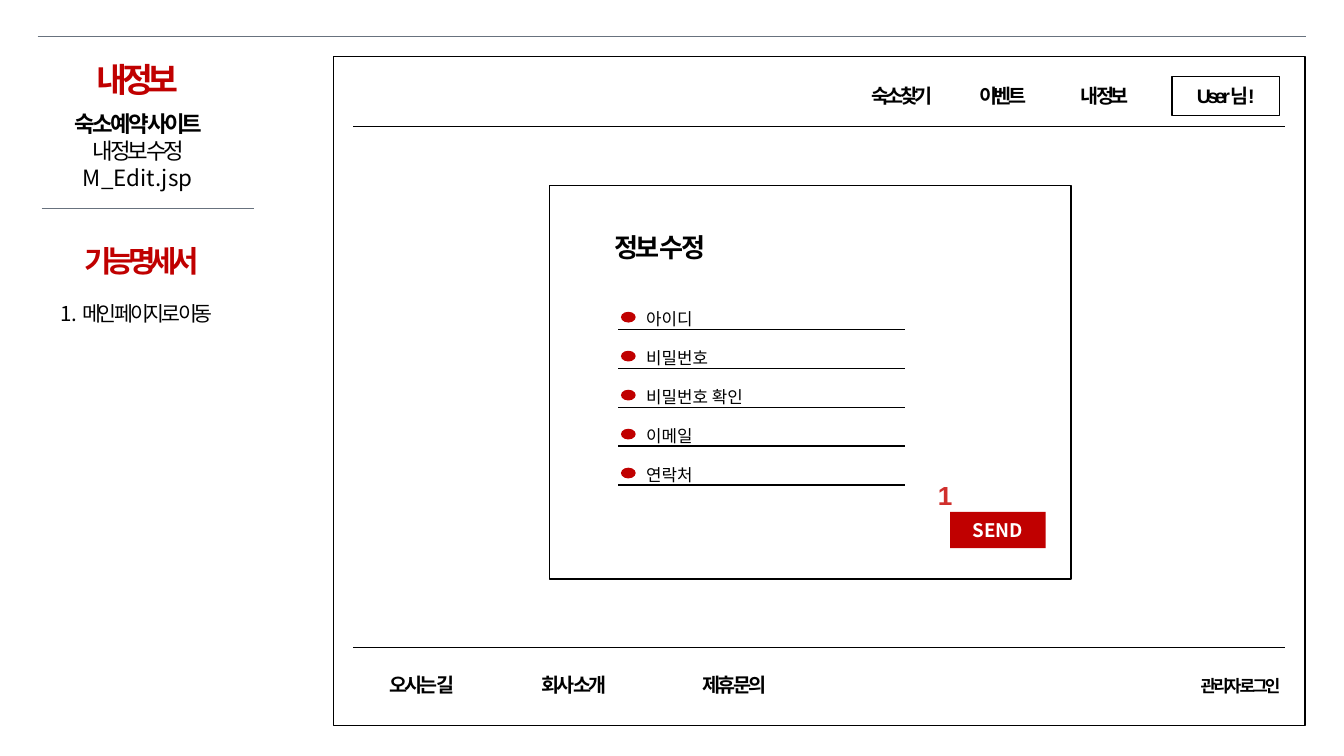
from dataclasses import dataclass

from lxml import etree
from pptx import Presentation
from pptx import util as u
from pptx.dml.color import RGBColor
from pptx.enum import shapes, text
from pptx.oxml import ns

NOTO, ARIAL = "Noto Sans CJK KR", "Arial"
RED, BLACK, WHITE, SLATE = "C00000", "000000", "FFFFFF", "68727E"
CENTER, LEFT = text.PP_ALIGN.CENTER, text.PP_ALIGN.LEFT
TOP, MIDDLE = text.MSO_ANCHOR.TOP, text.MSO_ANCHOR.MIDDLE
FIT, FIXED = text.MSO_AUTO_SIZE.SHAPE_TO_FIT_TEXT, text.MSO_AUTO_SIZE.NONE


@dataclass
class Area:
    left: float
    top: float
    width: float
    height: float

    def lengths(self) -> list:
        return [u.Inches(v) for v in (self.left, self.top, self.width, self.height)]


@dataclass
class Style:
    size: float
    bold: bool = False
    color: str = BLACK
    font: str = NOTO
    spacing: float = 0


@dataclass
class Label:
    words: str
    area: Area
    style: Style
    align: int = CENTER
    anchor: int = MIDDLE
    wrap: bool = True


def rgb(value: str) -> RGBColor:
    return RGBColor.from_string(value)


def assign(target, values: dict) -> None:
    for name, value in values.items():
        setattr(target, name, value)


def add_span(para, words: str, style: Style):
    span = para.add_run()
    span.text = words
    assign(span.font, {"size": u.Pt(style.size), "bold": style.bold, "name": style.font})
    span.font.color.rgb = rgb(style.color)
    props = span._r.get_or_add_rPr()
    if style.spacing:
        props.set("spc", str(round(style.spacing * 100)))
    if style.font == NOTO:  # typeface for the Korean letters
        etree.SubElement(props, ns.qn("a:ea")).set("typeface", NOTO)
    return span


def format_frame(box, anchor, wrap=True, fit=FIT) -> None:
    assign(box.text_frame, {"word_wrap": wrap, "auto_size": fit, "vertical_anchor": anchor})


def add_label(page, label: Label):
    box = page.shapes.add_textbox(*label.area.lengths())
    format_frame(box, label.anchor, label.wrap)
    para = box.text_frame.paragraphs[0]
    para.alignment = label.align
    return add_span(para, label.words, label.style)


def add_rule(page, left: float, right: float, y: float, color=BLACK, width=0.75) -> None:
    ends = [u.Inches(v) for v in (left, y, right, y)]
    rule = page.shapes.add_connector(shapes.MSO_CONNECTOR.STRAIGHT, *ends)
    rule.line.color.rgb = rgb(color)
    rule.line.width = u.Pt(width)
    etree.SubElement(rule._element.spPr, ns.qn("a:effectLst"))


def add_block(page, area: Area, fill=None, line=None, kind=shapes.MSO_SHAPE.RECTANGLE):
    block = page.shapes.add_shape(kind, *area.lengths())
    block.shadow.inherit = False
    if fill:
        block.fill.solid()
        block.fill.fore_color.rgb = rgb(fill)
    else:
        block.fill.background()
    if line:
        block.line.color.rgb = rgb(line)
        block.line.width = u.Pt(0.75)
    else:
        block.line.fill.background()
    return block


def add_button(page, words: str, area: Area, style: Style, **colors) -> None:
    button = add_block(page, area, **colors)
    format_frame(button, MIDDLE)
    para = button.text_frame.paragraphs[0]
    para.alignment = CENTER
    add_span(para, words, style)


def place(holder, area: Area, anchor, **para_format):
    assign(holder, dict(zip(("left", "top", "width", "height"), area.lengths())))
    format_frame(holder, anchor, fit=FIXED)
    para = holder.text_frame.paragraphs[0]
    assign(para, para_format)
    return para


def color_with_gradient(span, stops: dict) -> None:
    props = span._r.get_or_add_rPr()
    props.remove(props.find(ns.qn("a:solidFill")))
    gradient = etree.Element(ns.qn("a:gradFill"))
    stop_list = etree.SubElement(gradient, ns.qn("a:gsLst"))
    for percent, color in stops.items():
        stop = etree.SubElement(stop_list, ns.qn("a:gs"), pos=str(percent * 1000))
        etree.SubElement(stop, ns.qn("a:srgbClr"), val=color)
    etree.SubElement(gradient, ns.qn("a:lin"), ang="5400000", scaled="0")
    props.insert(0, gradient)


def add_sidebar(page) -> None:
    # Title and function list
    title = place(page.shapes.title, Area(0.42, 0.42, 1.21, 0.37), TOP,
                  alignment=CENTER, line_spacing=0.9)
    add_span(title, "내정보", Style(18, True, RED, spacing=-3))
    item = place(page.placeholders[1], Area(0.35, 2.19, 1.52, 0.82), TOP,
                 alignment=LEFT, space_before=u.Pt(0))
    props = item._p.get_or_add_pPr()
    props.set("marL", "0")
    props.set("indent", "0")
    etree.SubElement(props, ns.qn("a:buNone"))
    add_span(item, "1. ", Style(11))
    add_span(item, "메인 페이지로 이동", Style(11, spacing=-1.8))

    # Page description
    site = page.shapes.add_textbox(*Area(0.34, 0.77, 1.38, 0.5).lengths())
    format_frame(site, MIDDLE)
    frame = site.text_frame
    for para, words, bold in ((frame.paragraphs[0], "숙소 예약 사이트", True),
                              (frame.add_paragraph(), "내정보 수정", False)):
        para.alignment = CENTER
        add_span(para, words, Style(12, bold, spacing=-1.8))
    add_label(page, Label("M_Edit.jsp", Area(0.39, 1.17, 1.27, 0.3), Style(12)))
    add_rule(page, 0.31, 1.89, 1.55, SLATE, 0.25)
    heading = Label("기능명세서", Area(0.45, 1.79, 1.21, 0.34),
                    Style(16, True, RED, spacing=-3), anchor=TOP)
    add_label(page, heading)
    page.shapes[-1].text_frame.paragraphs[0].line_spacing = 0.9


def add_site_frame(page) -> None:
    add_block(page, Area(2.48, 0.42, 7.23, 4.98), line=BLACK)
    for y in (0.94, 4.82):
        add_rule(page, 2.63, 9.56, y)

    # Top menu
    menu = Style(10.5, True, font=ARIAL, spacing=-1.8)
    for left, words in ((6.31, "숙소찾기"), (7.06, "이벤트"), (7.82, "내 정보")):
        add_label(page, Label(words, Area(left, 0.57, 0.8, 0.29), menu))
    add_button(page, "User님!", Area(8.72, 0.57, 0.8, 0.29), menu, line=BLACK)

    # Footer links
    link = Style(10.5, True, font=ARIAL, spacing=-1.5)
    for left, width, words in ((2.66, 0.96, "오시는 길"), (3.79, 0.96, "회사 소개"),
                               (4.92, 1.09, "제휴문의")):
        add_label(page, Label(words, Area(left, 4.95, width, 0.29), link))
    admin = Style(9, True, font=ARIAL, spacing=-1.5)
    add_label(page, Label("관리자 로그인", Area(8.75, 4.98, 0.96, 0.25), admin))


def add_edit_form(page) -> None:
    add_block(page, Area(4.09, 1.38, 3.88, 2.93), line=BLACK)
    add_label(page, Label("정보 수정", Area(4.41, 1.67, 1, 0.34),
                          Style(14, True, spacing=-1.5)))

    # Input fields
    fields = (("아이디", 0.58), ("비밀번호", 0.71), ("비밀번호 확인", 1),
              ("이메일", 0.58), ("연락처", 0.58))
    for row, (words, width) in enumerate(fields):
        y = 2.45 + 0.29 * row
        add_rule(page, 4.6, 6.73, y)
        add_label(page, Label(words, Area(4.71, y - 0.2, width, 0.25), Style(9),
                              LEFT, TOP, wrap=False))
        add_block(page, Area(4.62, y - 0.13, 0.11, 0.08), fill=RED,
                  kind=shapes.MSO_SHAPE.OVAL)

    # Send button and its number
    add_button(page, "SEND", Area(7.07, 3.81, 0.71, 0.27), Style(10, True, WHITE), fill=RED)
    number = add_label(page, Label("1", Area(6.88, 3.52, 0.32, 0.34),
                                   Style(14, True, font=ARIAL), LEFT, TOP, wrap=False))
    color_with_gradient(number, {0: "FC7C7A", 75: "D02F2C", 100: "C70500"})


def main() -> None:
    deck = Presentation()
    # Widescreen, 16 to 9
    assign(deck, {"slide_width": u.Inches(10), "slide_height": u.Inches(10 * 9 / 16)})
    page = deck.slides.add_slide(deck.slide_layouts[1])
    add_rule(page, 0.28, 9.72, 0.27, SLATE, 0.25)
    add_sidebar(page)
    add_site_frame(page)
    add_edit_form(page)
    deck.save("out.pptx")


if __name__ == "__main__":
    main()
